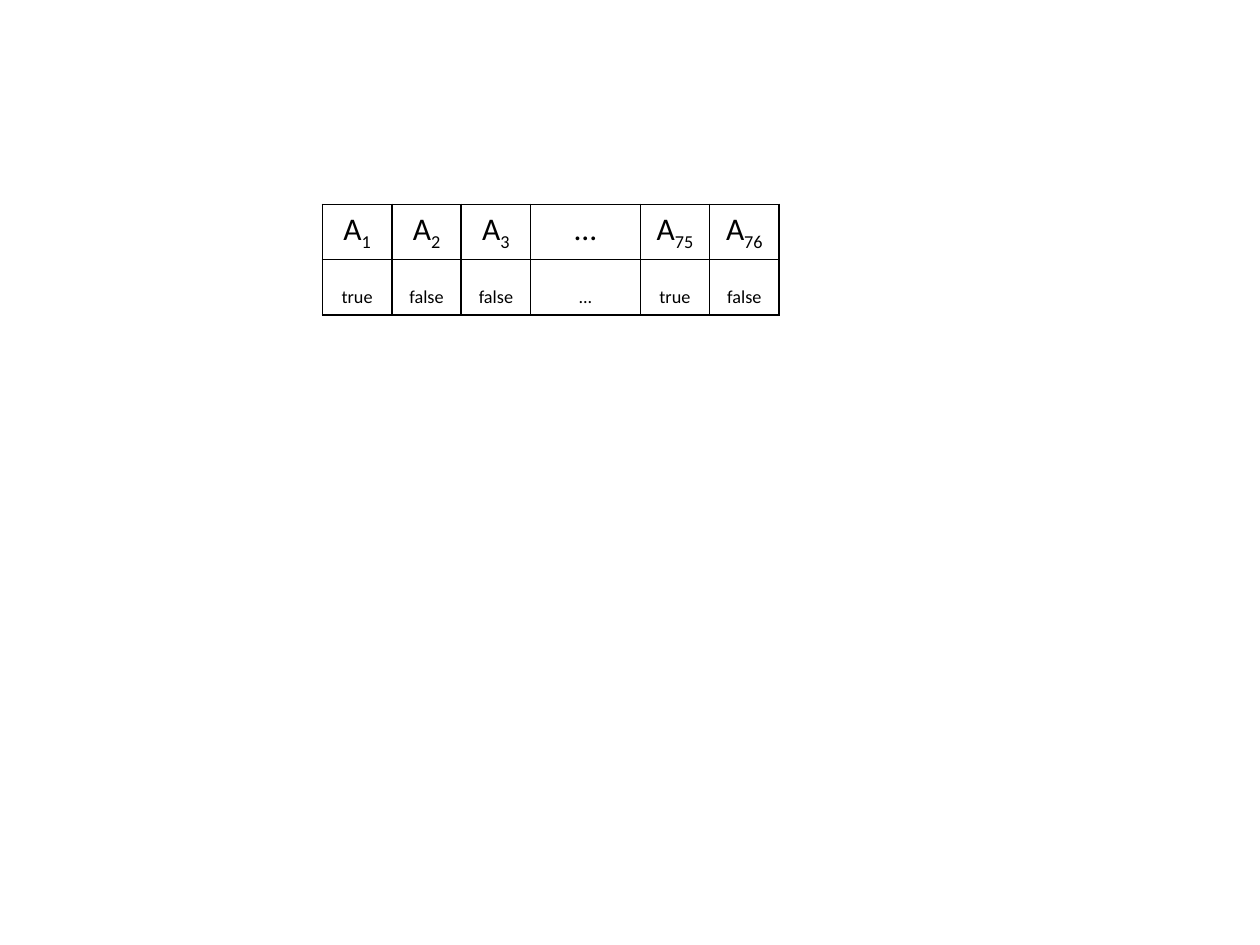
from dataclasses import dataclass

from lxml.etree import SubElement
from pptx import Presentation
from pptx.dml.color import RGBColor
from pptx.enum.text import PP_ALIGN
from pptx.oxml.ns import qn
from pptx.util import Cm, Pt


@dataclass(frozen=True)
class Theme:
    """Colours, font and sizes of the slide."""
    ink: str = "000000"
    font: str = "Calibri"
    text_size: int = 18
    border_width: int = 1
    subscript: str = "-25000"


class SlideBuilder:
    """Draws styled elements on the current slide."""

    def __init__(self, slide, theme):
        self.slide = slide
        self.theme = theme

    def table(self, left, top, widths, row_height, rows):
        """Add a bordered table whose cells are lists of (text, is_subscript)."""
        frame = self.slide.shapes.add_table(
            len(rows), len(widths), Cm(left), Cm(top),
            Cm(sum(widths)), Cm(row_height * len(rows)))
        table = frame.table
        table.first_row = table.horz_banding = False
        for column, width in zip(table.columns, widths):
            column.width = Cm(width)
        for row, contents in zip(table.rows, rows):
            row.height = Cm(row_height)
            for cell, spans in zip(row.cells, contents):
                self.borders(cell)
                cell.fill.background()
                self.text(cell.text_frame.paragraphs[0], spans)

    def borders(self, cell):
        """Draw a solid line on every side of a cell."""
        properties = cell._tc.get_or_add_tcPr()
        for side in ("a:lnL", "a:lnR", "a:lnT", "a:lnB"):
            line = SubElement(properties, qn(side), w=str(Pt(self.theme.border_width)))
            fill = SubElement(line, qn("a:solidFill"))
            SubElement(fill, qn("a:srgbClr"), val=self.theme.ink)

    def text(self, para, spans):
        """Write centred text with optional subscripts."""
        para.alignment = PP_ALIGN.CENTER
        for words, is_subscript in spans:
            span = para.add_run()
            span.text = words
            span.font.name = self.theme.font
            span.font.size = Pt(self.theme.text_size)
            span.font.color.rgb = RGBColor.from_string(self.theme.ink)
            if is_subscript:
                span._r.get_or_add_rPr().set("baseline", self.theme.subscript)


def variable(index):
    """Return the spans of a variable name with its index."""
    return [("A", False), (index, True)]


deck = Presentation()
deck.slide_width, deck.slide_height = Cm(25.4), Cm(19.05)
page = SlideBuilder(deck.slides.add_slide(deck.slide_layouts[6]), Theme())

names = [variable(index) for index in ("1", "2", "3")]
names += [[("...", False)]]
names += [variable(index) for index in ("75", "76")]
values = [[(value, True)] for value in ("true", "false", "false", "...", "true", "false")]
narrow, wide = 1.4, 2.21
page.table(6.5, 4.12, [narrow] * 3 + [wide] + [narrow] * 2, 1.03, [names, values])

deck.save("out.pptx")
